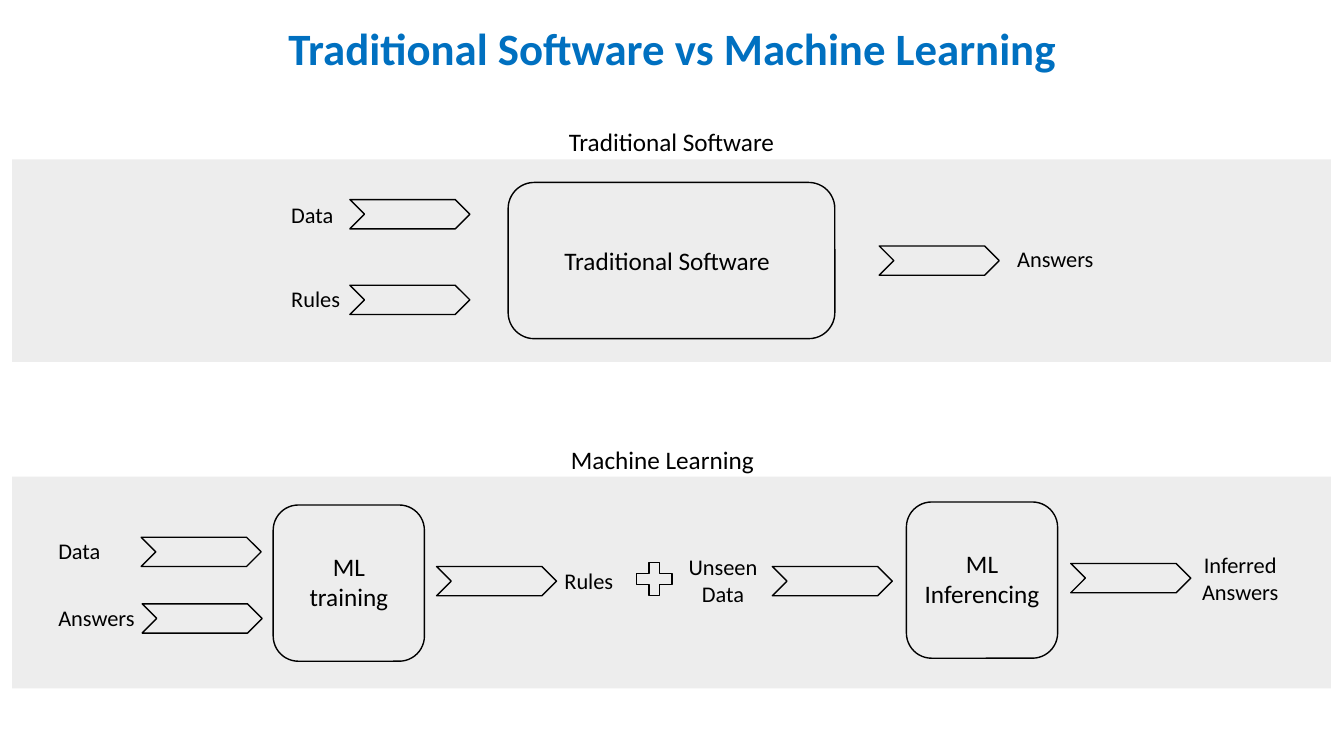
from pptx import Presentation, util as u
from pptx.dml.color import RGBColor
from pptx.enum import shapes, text

COLORS = {"title": "0070C0", "ink": "000000", "band": "EDEDED"}
SHAPE = shapes.MSO_SHAPE
LEFT, CENTER = text.PP_ALIGN.LEFT, text.PP_ALIGN.CENTER
ARROW = (1.19, 0.29)


def rgb(name):
    return RGBColor.from_string(COLORS[name])


def inches(*lengths):
    return [u.Inches(n) for n in lengths]


def add_label(s, x, y, w, h, words, size=16, align=LEFT, color="ink", bold=False):
    tf = s.shapes.add_textbox(*inches(x, y, w, h)).text_frame
    tf.word_wrap = True
    p = tf.paragraphs[0]
    p.alignment = align
    r = p.add_run()
    r.text = words
    formats = {"name": "Calibri", "size": u.Pt(size), "bold": bold}
    for key, value in formats.items():
        setattr(r.font, key, value)
    r.font.color.rgb = rgb(color)
    return tf


def add_outline(s, kind, x, y, w, h):
    sp = s.shapes.add_shape(kind, *inches(x, y, w, h))
    sp.shadow.inherit = False
    sp.fill.background()
    sp.line.color.rgb = rgb("ink")
    sp.line.width = u.Pt(1)


def add_band(s, x, y, w, h):
    sp = s.shapes.add_shape(SHAPE.RECTANGLE, *inches(x, y, w, h))
    sp.shadow.inherit = False
    sp.fill.solid()
    sp.fill.fore_color.rgb = rgb("band")
    sp.line.fill.background()


def add_title(s, x, y, w, h):
    tf = add_label(s, x, y, w, h, "Traditional Software vs Machine Learning",
                   32, CENTER, "title", True)
    tf.vertical_anchor = text.MSO_ANCHOR.MIDDLE
    tf.paragraphs[0].line_spacing = 0.9


def add_traditional(s, x, y, w, h):
    add_band(s, x, y, w, h)
    add_label(s, x + 4.79, y - 0.38, 3.5, 0.4, "Traditional Software", 18, CENTER)

    # Inputs
    for words, top in (("Data", 0.37), ("Rules", 1.2)):
        add_label(s, x + 2.67, y + top, 0.96, 0.37, words)
    for top in (0.4, 1.25):
        add_outline(s, SHAPE.CHEVRON, x + 3.35, y + top, *ARROW)

    # Program
    add_outline(s, SHAPE.ROUNDED_RECTANGLE, x + 4.92, y + 0.23, 3.24, 1.55)
    add_label(s, x + 5.38, y + 0.8, 2.52, 0.4, "Traditional Software", 18)

    # Output
    add_outline(s, SHAPE.CHEVRON, x + 8.6, y + 0.86, *ARROW)
    add_label(s, x + 9.87, y + 0.8, 1.31, 0.37, "Answers")


def add_machine_learning(s, x, y, w, h):
    add_band(s, x, y, w, h)
    add_label(s, x + 4.7, y - 0.37, 3.5, 0.4, "Machine Learning", 18, CENTER)

    # Arrows between the steps
    for left, top in ((1.28, 0.6), (1.29, 1.26), (4.21, 0.89), (7.54, 0.89), (10.5, 0.86)):
        add_outline(s, SHAPE.CHEVRON, x + left, y + top, *ARROW)

    # Training and inferencing
    for words, left, top, width in (("ML training", 2.59, 0.28, 1.19),
                                    ("ML Inferencing", 8.87, 0.25, 1.34)):
        add_outline(s, SHAPE.ROUNDED_RECTANGLE, x + left, y + top, 1.5, 1.55)
        add_label(s, x + left + (1.5 - width) / 2, y + top + 0.41, width, 0.71,
                  words, 18, CENTER)

    # Inputs and learned rules
    for words, left, top, width in (("Data", 0.36, 0.55, 0.96),
                                    ("Answers", 0.36, 1.21, 0.96),
                                    ("Rules", 5.38, 0.85, 0.76)):
        add_label(s, x + left, y + top, width, 0.37, words)

    # New data and inferred output
    add_outline(s, SHAPE.MATH_PLUS, x + 6.13, y + 0.79, 0.48, 0.45)
    for words, left, top in (("Unseen Data", 6.54, 0.71), ("Inferred Answers", 11.67, 0.69)):
        add_label(s, x + left, y + top, 1.02, 0.64, words, align=CENTER)


def main():
    prs = Presentation()
    prs.slide_width, prs.slide_height = inches(13.33, 7.5)
    s = prs.slides.add_slide(prs.slide_layouts[6])
    add_title(s, 0.92, 0.21, 11.5, 0.6)
    add_traditional(s, 0.12, 1.58, 13.08, 2.01)
    add_machine_learning(s, 0.12, 4.73, 13.08, 2.1)
    prs.save("out.pptx")


if __name__ == "__main__":
    main()
